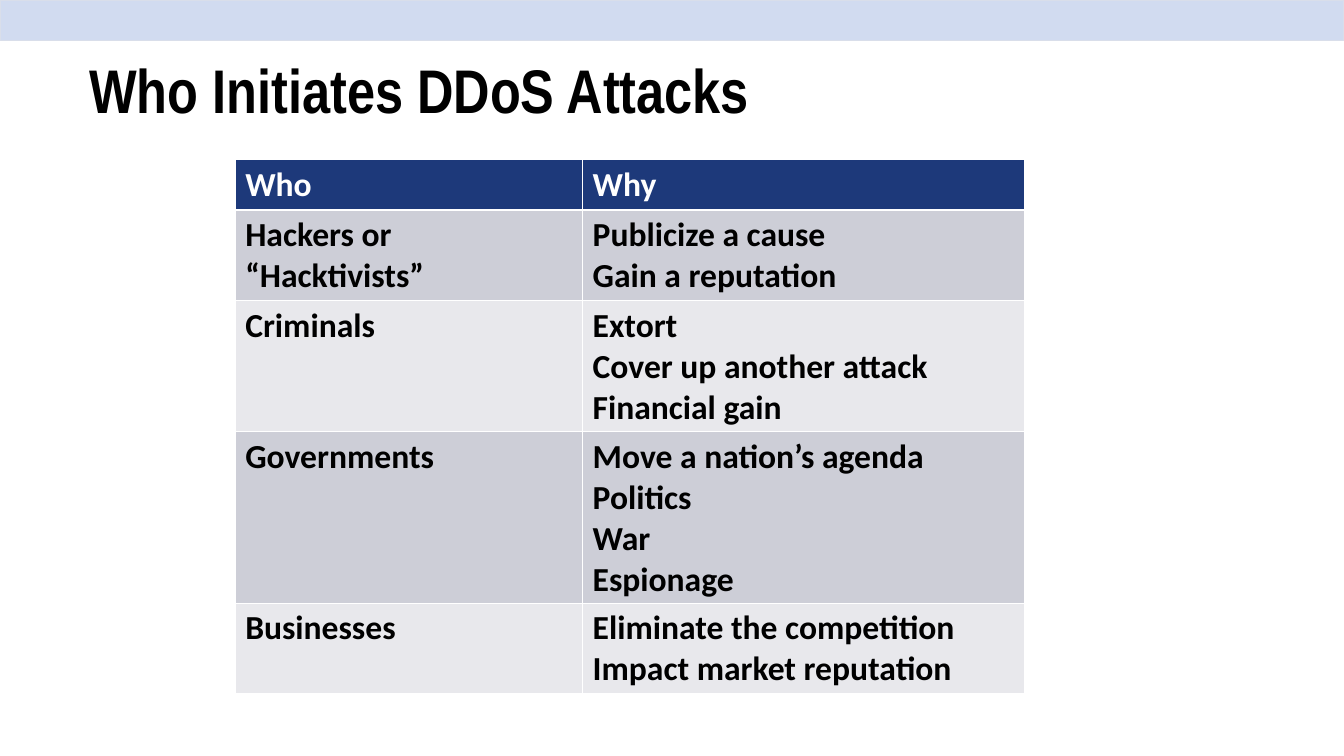
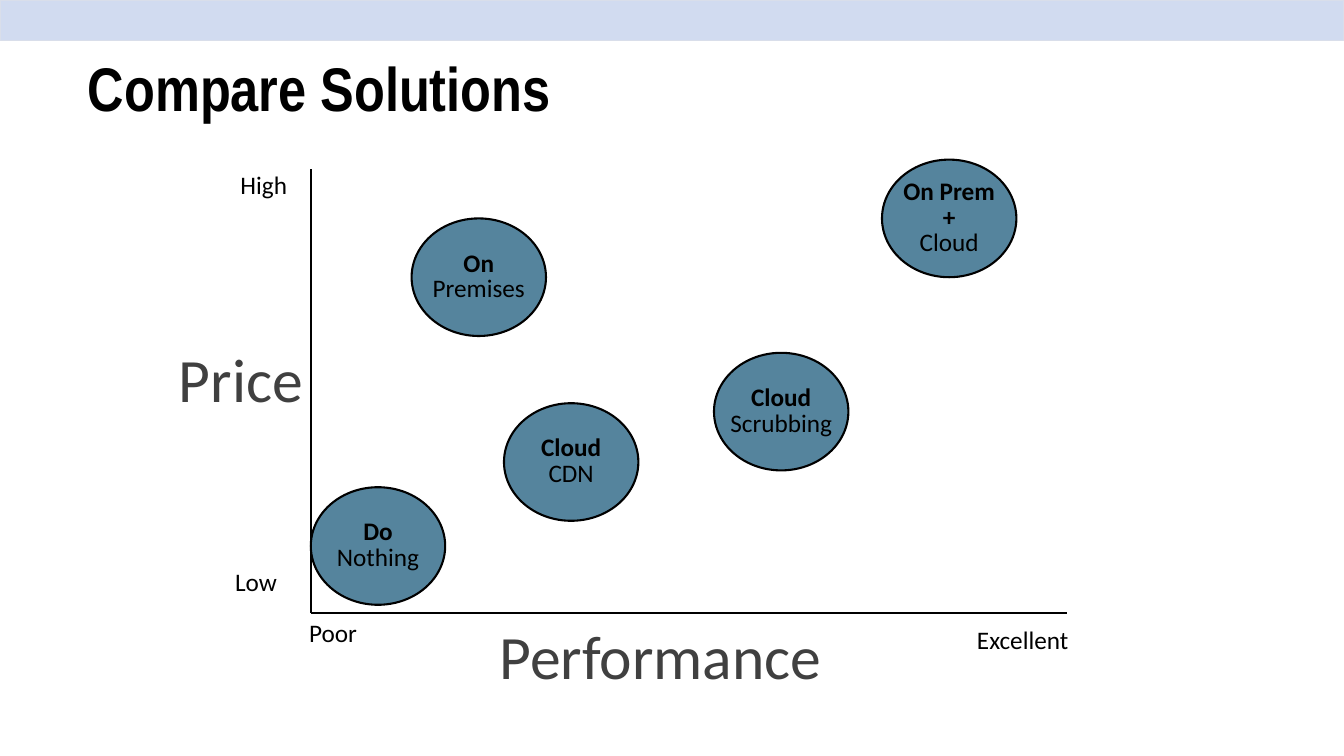
import pptx
import pptx.util
import pptx.dml.color
import pptx.enum.shapes
import pptx.enum.text
import pptx.oxml.ns
from lxml import etree

COLORS = {
    "band": "D1DBF0", "band_edge": "D9DEEA", "text": "000000", "white": "FFFFFF",
    "header": "1D397A", "row_dark": "CDCED7", "row_light": "E8E8EC",
    "axis_name": "404040", "bubble": "55849D",
}
WIDTH, HEIGHT = 20, 11.25
COLUMNS, ROWS = 160, 90
HEADING_FONT, BODY_FONT = "Arial Narrow", "Calibri"
WIDE_INSETS = (0.15, 0.07)
BUBBLE_SIZE = (16, 14)

MOTIVES = [
    ("Who", ["Why"]),
    ("Hackers or “Hacktivists”", ["Publicize a cause", "Gain a reputation"]),
    ("Criminals", ["Extort", "Cover up another attack", "Financial gain"]),
    ("Governments", ["Move a nation’s agenda", "Politics", "War", "Espionage"]),
    ("Businesses", ["Eliminate the competition", "Impact market reputation"]),
]
SOLUTIONS = [
    (0, 39, ["Do", "Nothing"]),
    (12, 7, ["On", "Premises"]),
    (48, 23, ["Cloud", "Scrubbing"]),
    (68, 0, ["On Prem", "+", "Cloud"]),
    (23, 29, ["Cloud", "CDN"]),
]
SCALE_ENDS = [
    ("Poor", (-1, 54, 7.28, 4.48)),
    ("Excellent", (78.52, 54.92, 12.48, 4.48)),
    ("Low", (-9.8, 47.96, 6.56, 4.48)),
    ("High", (-9.16, 0.68, 7.12, 4.48)),
]
AXIS_NAMES = [
    ("Price", (-17, 21, 17.36, 10.08)),
    ("Performance", (21.08, 54, 41.12, 10.08)),
]


def color(name):
    """Return the named colour."""
    return pptx.dml.color.RGBColor.from_string(COLORS[name])


def x_at(columns):
    """Convert grid columns to a length."""
    return pptx.util.Inches(WIDTH * columns / COLUMNS)


def y_at(rows):
    """Convert grid rows to a length."""
    return pptx.util.Inches(HEIGHT * rows / ROWS)


def place(box):
    """Convert a grid box to left, top, width and height."""
    left, top, width, height = box
    return x_at(left), y_at(top), x_at(width), y_at(height)


def within(region, part):
    """Move a part given relative to a region onto the slide grid."""
    return (region[0] + part[0], region[1] + part[1], *part[2:])


def set_insets(holder, insets):
    """Set equal side insets and equal top and bottom insets, in inches."""
    side, edge = (pptx.util.Inches(inset) for inset in insets)
    holder.margin_left = holder.margin_right = side
    holder.margin_top = holder.margin_bottom = edge


def write(frame, lines, size, tint="text", bold=False, font=BODY_FONT, align=None, spacing=None):
    """Fill a text frame with one paragraph per line and return the paragraphs."""
    for index, line in enumerate(lines):
        paragraph = frame.paragraphs[0] if index == 0 else frame.add_paragraph()
        paragraph.text = line
        paragraph.alignment = align
        paragraph.line_spacing = spacing
        paragraph.font.name = font
        paragraph.font.size = pptx.util.Pt(size)
        paragraph.font.bold = bold
        paragraph.font.color.rgb = color(tint)
    return frame.paragraphs


def add_filled(slide, kind, box, fill, edge, weight):
    """Add a preset shape with a solid fill and an outline."""
    shape = slide.shapes.add_shape(kind, *place(box))
    shape.shadow.inherit = False
    shape.fill.solid()
    shape.fill.fore_color.rgb = color(fill)
    shape.line.color.rgb = color(edge)
    shape.line.width = pptx.util.Pt(weight)
    return shape


def add_titled_slide(deck, title, corner):
    """Add a slide with the top band and a title at the given corner."""
    slide = deck.slides.add_slide(deck.slide_layouts[6])
    add_filled(slide, pptx.enum.shapes.MSO_SHAPE.RECTANGLE, (0, 0, COLUMNS, 4.8),
               "band", "band_edge", 1)
    frame = slide.shapes.add_textbox(*place((*corner, 138, 17.36))).text_frame
    frame.word_wrap = True
    frame.vertical_anchor = pptx.enum.text.MSO_ANCHOR.MIDDLE
    write(frame, [title], 66, bold=True, font=HEADING_FONT, spacing=0.9)
    return slide


def add_borders(cell, bottom_weight):
    """Draw white borders around a cell."""
    properties = cell._tc.get_or_add_tcPr()
    weights = {"a:lnL": 1, "a:lnR": 1, "a:lnT": 1, "a:lnB": bottom_weight}
    for tag, weight in weights.items():
        border = etree.SubElement(properties, pptx.oxml.ns.qn(tag), w=str(pptx.util.Pt(weight)))
        fill = etree.SubElement(border, pptx.oxml.ns.qn("a:solidFill"))
        etree.SubElement(fill, pptx.oxml.ns.qn("a:srgbClr"), val=COLORS["white"])


def add_motives_table(slide, box):
    """Add the table of attackers and motives, with rows sized by line count."""
    table = slide.shapes.add_table(len(MOTIVES), 2, *place(box)).table
    for column, share in zip(table.columns, (0.44, 0.56)):
        column.width = x_at(box[2] * share)
    for index, (who, why) in enumerate(MOTIVES):
        is_header = index == 0
        fill = "header" if is_header else ("row_light", "row_dark")[index % 2]
        table.rows[index].height = y_at(1.2 + 4.8 * len(why))
        for cell, lines in zip(table.rows[index].cells, ([who], why)):
            set_insets(cell, WIDE_INSETS)
            add_borders(cell, 3 if is_header else 1)
            cell.fill.solid()
            cell.fill.fore_color.rgb = color(fill)
            write(cell.text_frame, lines, 36, "white" if is_header else "text", bold=True)


def add_axis(slide, region, start, end):
    """Add a plain axis line between two points of a region."""
    ends = [within(region, point) for point in (start, end)]
    points = [length for x, y in ends for length in (x_at(x), y_at(y))]
    axis = slide.shapes.add_connector(pptx.enum.shapes.MSO_CONNECTOR.STRAIGHT, *points)
    axis.line.color.rgb = color("text")
    axis.line.width = pptx.util.Pt(2.25)
    etree.SubElement(axis._element.spPr, pptx.oxml.ns.qn("a:effectLst"))


def add_label(slide, box, text, size, tint="text", align=None):
    """Add an unwrapped label that fits its text and return its frame."""
    frame = slide.shapes.add_textbox(*place(box)).text_frame
    frame.word_wrap = False
    frame.auto_size = pptx.enum.text.MSO_AUTO_SIZE.SHAPE_TO_FIT_TEXT
    write(frame, [text], size, tint, align=align)
    return frame


def add_bubble(slide, box, lines):
    """Add a solution bubble whose last line is not bold."""
    bubble = add_filled(slide, pptx.enum.shapes.MSO_SHAPE.OVAL, box, "bubble", "text", 2.25)
    frame = bubble.text_frame
    frame.word_wrap = False
    frame.vertical_anchor = pptx.enum.text.MSO_ANCHOR.MIDDLE
    set_insets(frame, WIDE_INSETS)
    paragraphs = write(frame, lines, 27, bold=True,
                       align=pptx.enum.text.PP_ALIGN.CENTER, spacing=0.85)
    paragraphs[-1].font.bold = False


def add_solutions_plot(slide, region):
    """Add the price and performance axes, their labels and the bubbles."""
    width, height = region[2:]
    add_axis(slide, region, (0, height), (0, 1.16))
    add_axis(slide, region, (0, height), (width, height))
    for text, part in SCALE_ENDS:
        frame = add_label(slide, within(region, part), text, 27)
        frame.vertical_anchor = pptx.enum.text.MSO_ANCHOR.MIDDLE
    for text, part in AXIS_NAMES:
        frame = add_label(slide, within(region, part), text, 66, "axis_name",
                          pptx.enum.text.PP_ALIGN.CENTER)
        set_insets(frame, WIDE_INSETS)
    for left, top, lines in SOLUTIONS:
        add_bubble(slide, within(region, (left, top, *BUBBLE_SIZE)), lines)


def main():
    """Build and save the deck."""
    deck = pptx.Presentation()
    deck.slide_width = pptx.util.Inches(WIDTH)
    deck.slide_height = pptx.util.Inches(HEIGHT)
    initiators = add_titled_slide(deck, "Who Initiates DDoS Attacks", (9.84, 2.4))
    add_motives_table(initiators, (28, 19, 94, 63.6))
    comparison = add_titled_slide(deck, "Compare Solutions", (9.68, 2.24))
    add_solutions_plot(comparison, (37, 19, 90, 54))
    deck.save("out.pptx")


if __name__ == "__main__":
    main()
